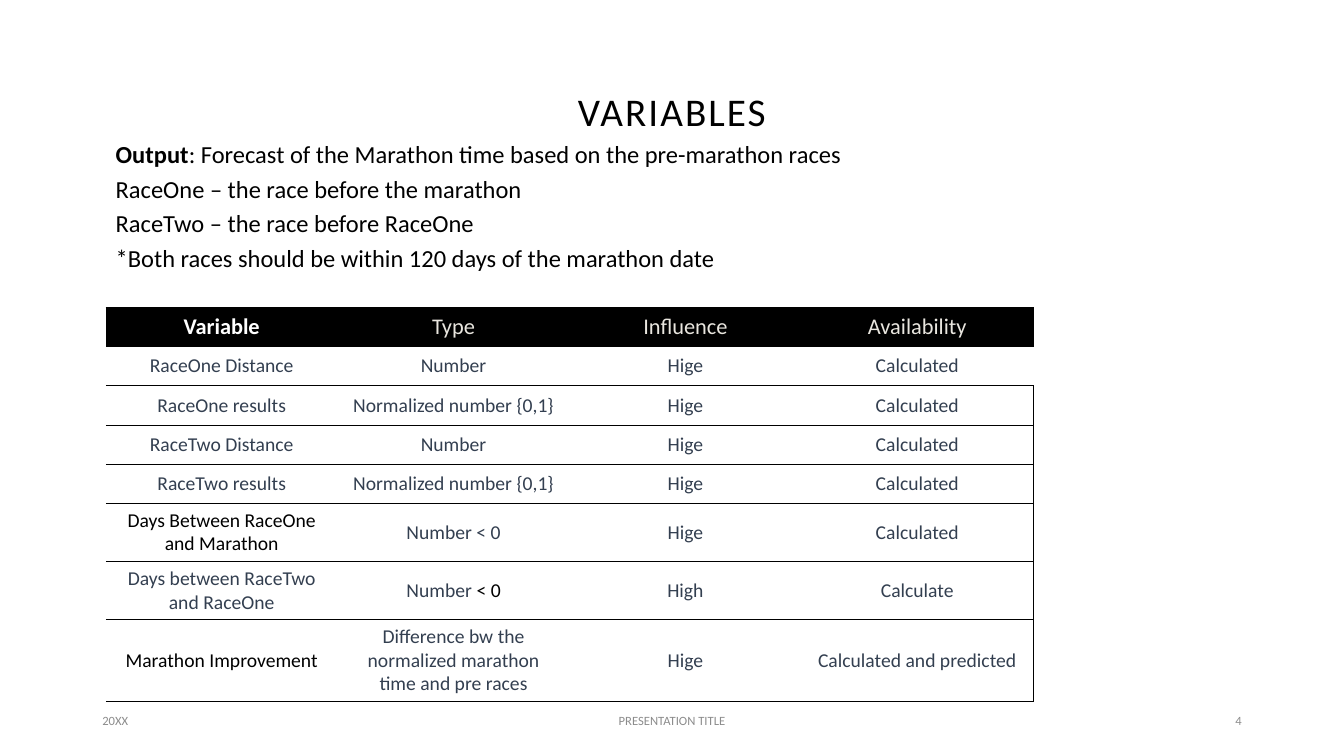
from lxml import etree
from pptx import Presentation
from pptx.dml.color import RGBColor
from pptx.enum.text import MSO_ANCHOR, PP_ALIGN
from pptx.oxml.ns import qn
from pptx.util import Pt

LEFT, CENTER, RIGHT = PP_ALIGN.LEFT, PP_ALIGN.CENTER, PP_ALIGN.RIGHT
TOP, MIDDLE = MSO_ANCHOR.TOP, MSO_ANCHOR.MIDDLE
BLACK, WHITE, CREAM, SLATE, GRAY = "000000", "FFFFFF", "E9E6DF", "333F50", "8C8C8C"

DEFINITIONS = [
    [("Output", {"bold": True}),
     (": Forecast of the Marathon time based on the pre-marathon races", {})],
    "RaceOne – the race before the marathon",
    "RaceTwo – the race before RaceOne",
    "*Both races should be within 120 days of the marathon date",
]
HEADINGS = [[("Variable", {"bold": True, "color": WHITE})], "Type", "Influence", "Availability"]
VARIABLES = [
    ["RaceOne Distance", "Number", "Hige", "Calculated"],
    ["RaceOne results", "Normalized number {0,1}", "Hige", "Calculated"],
    ["RaceTwo Distance", "Number", "Hige", "Calculated"],
    ["RaceTwo results", "Normalized number {0,1}", "Hige", "Calculated"],
    [[("Days Between RaceOne and Marathon", {"color": BLACK})],
     "Number < 0", "Hige", "Calculated"],
    ["Days between RaceTwo and RaceOne",
     [("Number", {}), (" < 0", {"color": BLACK})], "High", "Calculate"],
    [[("Marathon Improvement", {"color": BLACK})],
     "Difference bw the normalized marathon time and pre races",
     "Hige", "Calculated and predicted"],
]
ROW_HEIGHTS = [28] * 5 + [41.5] * 2 + [58.5]


def rgb(hex_color):
    return RGBColor.from_string(hex_color)


def write(frame, paragraphs, size=14, color=BLACK, bold=False, align=LEFT,
          line=None, before=None, tracking=None, font="Calibri"):
    for index, content in enumerate(paragraphs):
        paragraph = frame.paragraphs[0] if index == 0 else frame.add_paragraph()
        paragraph.alignment = align
        if line is not None:
            paragraph.line_spacing = line
        if before is not None:
            paragraph.space_before = Pt(before)
        pieces = [(content, {})] if isinstance(content, str) else content
        for words, change in pieces:
            run = paragraph.add_run()
            run.text = words
            run.font.name = font
            run.font.size = Pt(size)
            run.font.bold = change.get("bold", bold)
            run.font.color.rgb = rgb(change.get("color", color))
            if tracking is not None:
                run._r.get_or_add_rPr().set("spc", str(int(tracking * 100)))


def set_borders(cell, sides, color=BLACK, width=0.5):
    properties = cell._tc.get_or_add_tcPr()
    for position, side in enumerate("LRTB"):
        border = etree.Element(qn(f"a:ln{side}"), w=str(int(Pt(width))))
        if side in sides:
            paint = etree.SubElement(border, qn("a:solidFill"))
            etree.SubElement(paint, qn("a:srgbClr"), val=color)
        else:
            etree.SubElement(border, qn("a:noFill"))
        properties.insert(position, border)


class VariablesSlide:
    """Holds the presentation, its current slide and the shared style."""

    def __init__(self, width, height):
        self.deck = Presentation()
        self.deck.slide_width, self.deck.slide_height = Pt(width), Pt(height)
        self.slide = self.deck.slides.add_slide(self.deck.slide_layouts[5])

    def title(self, words, left, top, width, height):
        heading = self.slide.shapes.title
        heading.left, heading.top = Pt(left), Pt(top)
        heading.width, heading.height = Pt(width), Pt(height)
        heading.text_frame.vertical_anchor = MIDDLE
        write(heading.text_frame, [words], size=28, align=CENTER, line=0.9, tracking=1.5)

    def text(self, paragraphs, left, top, width, height, anchor=TOP, **style):
        box = self.slide.shapes.add_textbox(Pt(left), Pt(top), Pt(width), Pt(height))
        box.text_frame.word_wrap = True
        box.text_frame.vertical_anchor = anchor
        write(box.text_frame, paragraphs, **style)

    def table(self, headings, records, heights, left, top, width):
        last = len(headings) - 1
        grid = self.slide.shapes.add_table(
            len(records) + 1, len(headings), Pt(left), Pt(top), Pt(width), Pt(sum(heights))).table
        grid.horz_banding = False
        for row, values in enumerate([headings] + records):
            grid.rows[row].height = Pt(heights[row])
            for column, value in enumerate(values):
                cell = grid.cell(row, column)
                cell.vertical_anchor = MIDDLE
                if row == 0:
                    cell.fill.solid()
                    cell.fill.fore_color.rgb = rgb(BLACK)
                    sides = "T" + "L" * (column == 0) + "R" * (column == last)
                    write(cell.text_frame, [value], size=16, color=CREAM, align=CENTER)
                else:
                    cell.fill.background()
                    sides = "B" + "T" * (row > 1) + "R" * (row > 1 and column == last)
                    write(cell.text_frame, [value], color=SLATE, align=CENTER)
                set_borders(cell, sides)

    def save(self):
        self.deck.save("out.pptx")


def main():
    page = VariablesSlide(960, 540)
    page.title("VARIABLES", 66, 28.8, 828, 104.4)
    page.table(HEADINGS, VARIABLES, ROW_HEIGHTS, 75.6, 219.6, 662.4)
    for words, left, width, align in [("20XX", 66, 216, LEFT),
                                      ("PRESENTATION TITLE", 318, 324, CENTER),
                                      ("4", 678, 216, RIGHT)]:
        page.text([words], left, 500.4, width, 28.8, anchor=MIDDLE,
                  size=9, color=GRAY, align=align)
    page.text(DEFINITIONS, 75.6, 101.5, 582, 118, size=17.5, line=0.7, before=10)
    page.save()


if __name__ == "__main__":
    main()
